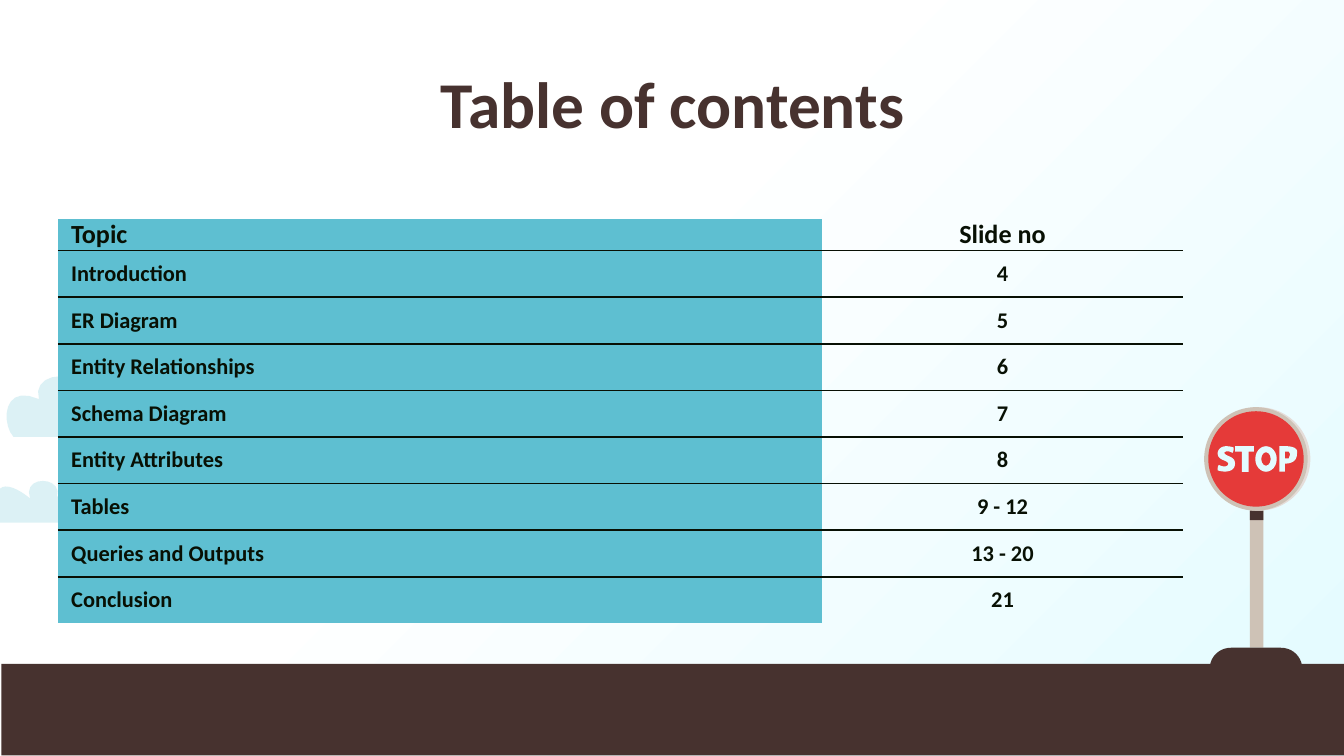
from copy import deepcopy

from lxml import etree
from pptx import Presentation
from pptx import util as u
from pptx.dml.color import RGBColor
from pptx.enum import shapes, text
from pptx.oxml.ns import qn

WHITE = RGBColor(0xFF, 0xFF, 0xFF)
SKY = RGBColor(0xE3, 0xFB, 0xFF)
TEAL = RGBColor(0x5E, 0xBF, 0xD1)
BROWN = RGBColor(0x47, 0x32, 0x2F)
POST = RGBColor(0xCE, 0xC2, 0xB6)
RIM = RGBColor(0xE5, 0xDD, 0xD9)
RED = RGBColor(0xE5, 0x3A, 0x39)
INK = RGBColor(0x08, 0x10, 0x04)
FONT = "Calibri"
PLAIN_TABLE = "{2D5ABB26-0587-4C30-8999-92F81FD0307C}"

CLOUD_WIDTH = 1.88
CLOUD_START = (1.87, 0.52)
CLOUD_CURVES = [
    (1.87, 0.47, 1.80, 0.42, 1.70, 0.41), (1.75, 0.35, 1.76, 0.28, 1.72, 0.24),
    (1.68, 0.19, 1.59, 0.19, 1.51, 0.22), (1.49, 0.20, 1.48, 0.19, 1.46, 0.18),
    (1.40, 0.17, 1.34, 0.19, 1.31, 0.25), (1.29, 0.24, 1.27, 0.24, 1.25, 0.24),
    (1.17, 0.23, 1.09, 0.25, 1.08, 0.30), (1.07, 0.30, 1.06, 0.30, 1.05, 0.29),
    (1.03, 0.26, 0.98, 0.24, 0.92, 0.24), (0.93, 0.23, 0.93, 0.20, 0.92, 0.19),
    (0.86, 0.05, 0.65, 0.19, 0.57, 0.26), (0.66, 0, 0.21, 0.02, 0.28, 0.24),
    (0.01, 0.12, 0, 0.42, 0.09, 0.52),
]
MOUND_START = (0, 0.16)
MOUND_CURVES = [(0, 0.07, 0.07, 0, 0.16, 0), (0.16, 0, 0.53, 0, 0.53, 0),
                (0.62, 0, 0.69, 0.07, 0.69, 0.16)]
S_START = (0.11, 0.05)
S_CURVES = [
    (0.08, 0.03, 0.05, 0.04, 0.05, 0.05), (0.06, 0.08, 0.13, 0.07, 0.13, 0.13),
    (0.13, 0.19, 0.06, 0.20, 0, 0.18), (0, 0.17, 0, 0.15, 0.01, 0.14),
    (0.05, 0.16, 0.08, 0.15, 0.08, 0.13), (0.07, 0.10, 0, 0.11, 0, 0.05),
    (0.01, 0, 0.06, -0.01, 0.12, 0.01), (0.12, 0.02, 0.12, 0.04, 0.11, 0.05),
]
T_POINTS = [(0, 0), (0.14, 0), (0.14, 0.04), (0.1, 0.04),
            (0.1, 0.19), (0.05, 0.19), (0.05, 0.04), (0, 0.04)]
P_START = (0, 0)
P_CURVES = [(0.16, -0.01, 0.13, 0.05, 0.13, 0.06), (0.13, 0.11, 0.09, 0.13, 0.04, 0.13),
            (0.04, 0.13, 0.04, 0.19, 0.04, 0.19), (0.04, 0.19, 0, 0.19, 0, 0.19)]
P_HOLE = [(0.04, 0.04), (0.04, 0.09), (0.07, 0.09), (0.08, 0.06), (0.07, 0.04)]

CONTENTS = [
    ("Topic", "Slide no"), ("Introduction", "4"), ("ER Diagram", "5"),
    ("Entity Relationships", "6"), ("Schema Diagram", "7"), ("Entity Attributes", "8"),
    ("Tables", "9 - 12"), ("Queries and Outputs", "13 - 20"), ("Conclusion", "21"),
]


def paint(shape, color):
    """Give a shape a flat fill with no line or shadow."""
    shape.shadow.inherit = False
    shape.fill.solid()
    shape.fill.fore_color.rgb = color
    shape.line.fill.background()
    return shape


def add_flat(slide, kind, left, top, width, height, color):
    """Add a flat preset shape, measured in inches."""
    box = map(u.Inches, (left, top, width, height))
    return paint(slide.shapes.add_shape(kind, *box), color)


def style(paragraph, size, color, align):
    """Format a paragraph and its runs."""
    paragraph.alignment = align
    for run in paragraph.runs:
        run.font.name, run.font.size, run.font.bold = FONT, u.Pt(size), True
        run.font.color.rgb = color


def trace(start, curves, steps=10):
    """Return points along a chain of cubic curves."""
    points = [start]
    for x1, y1, x2, y2, x3, y3 in curves:
        x0, y0 = points[-1]
        for t in (step / steps for step in range(1, steps + 1)):
            a, b, c, d = (1 - t) ** 3, 3 * t * (1 - t) ** 2, 3 * t * t * (1 - t), t ** 3
            points.append((a * x0 + b * x1 + c * x2 + d * x3,
                           a * y0 + b * y1 + c * y2 + d * y3))
    return points


def add_outline(slide, left, top, color, *contours):
    """Add a flat outline made of closed contours at a corner."""
    placed = [[(u.Inches(left + x), u.Inches(top + y)) for x, y in points]
              for points in contours]
    builder = slide.shapes.build_freeform(*placed[0][0])
    for points in placed:
        if points is not placed[0]:
            builder.move_to(*points[0])
        builder.add_line_segments(points[1:], close=True)
    return paint(builder.convert_to_shape(), color)


def add_cloud(slide, left, top, scale=1, mirrored=False):
    """Draw a pale cloud."""
    points = [((CLOUD_WIDTH - x if mirrored else x) * scale, y * scale)
              for x, y in trace(CLOUD_START, CLOUD_CURVES)]
    cloud = add_outline(slide, left, top, TEAL, points)
    tint = cloud._element.spPr.find(".//" + qn("a:srgbClr"))
    etree.SubElement(tint, qn("a:alpha"), val="21000")


def add_sign(slide, left, top):
    """Draw the road sign on its mound."""
    rect, oval = shapes.MSO_SHAPE.RECTANGLE, shapes.MSO_SHAPE.OVAL
    add_flat(slide, rect, left + 0.34, top + 0.57, 0.1, 1.22, POST)
    add_flat(slide, rect, left + 0.34, top + 0.77, 0.1, 0.07, BROWN)
    add_outline(slide, left + 0.04, top + 1.79, BROWN, trace(MOUND_START, MOUND_CURVES))
    add_flat(slide, oval, left + 0.02, top, 0.77, 0.77, RIM)
    add_flat(slide, oval, left, top, 0.77, 0.77, POST)
    add_flat(slide, oval, left + 0.03, top + 0.03, 0.71, 0.71, RED)
    add_outline(slide, left + 0.1, top + 0.29, SKY, trace(S_START, S_CURVES))
    add_outline(slide, left + 0.23, top + 0.29, SKY, T_POINTS)
    ring = add_flat(slide, shapes.MSO_SHAPE.DONUT, left + 0.38, top + 0.29, 0.16, 0.19, SKY)
    ring.adjustments[0] = 0.28
    add_outline(slide, left + 0.56, top + 0.29, SKY, trace(P_START, P_CURVES), P_HOLE)


def add_title(slide, left, top, width, height):
    """Write the slide title."""
    title = slide.shapes.add_textbox(*map(u.Inches, (left, top, width, height)))
    frame = title.text_frame
    frame.word_wrap = True
    frame.margin_top = frame.margin_bottom = u.Inches(0.1)
    frame.text = "Table of contents"
    style(frame.paragraphs[0], 35, BROWN, text.PP_ALIGN.CENTER)


def rule_cell(cell, sides):
    """Rule the given sides of a cell."""
    for index, side in enumerate(sides):
        line = etree.Element(qn("a:" + side), w=str(u.Pt(1)))
        fill = etree.SubElement(line, qn("a:solidFill"))
        etree.SubElement(fill, qn("a:srgbClr"), val=str(INK))
        cell._tc.get_or_add_tcPr().insert(index, line)


def add_contents(slide, left, top, widths, header_height, row_height):
    """Build the table of topics and slide numbers."""
    last = len(CONTENTS) - 1
    box = (left, top, sum(widths), header_height + last * row_height)
    table = slide.shapes.add_table(last + 1, 2, *map(u.Inches, box)).table
    table._tbl.tblPr.find(qn("a:tableStyleId")).text = PLAIN_TABLE
    table.horz_banding = False
    for column, width in zip(table.columns, widths):
        column.width = u.Inches(width)
    for r, entry in enumerate(CONTENTS):
        table.rows[r].height = u.Inches(row_height if r else header_height)
        for c, words in enumerate(entry):
            cell = table.cell(r, c)
            cell.text = words
            cell.margin_top = cell.margin_bottom = 0
            cell.vertical_anchor = text.MSO_ANCHOR.MIDDLE
            align = text.PP_ALIGN.CENTER if c else text.PP_ALIGN.LEFT
            style(cell.text_frame.paragraphs[0], 12 if r else 14, INK, align)
            if c:
                cell.fill.background()
            else:
                cell.fill.solid()
                cell.fill.fore_color.rgb = TEAL
            rule_cell(cell, ["lnT"] * (r > 0) + ["lnB"] * (r < last))


def add_sky(slide):
    """Fill the background with a diagonal gradient."""
    fill = slide.background.fill
    fill.gradient()
    fill.gradient_angle = 315
    for stop, position, color in zip(fill.gradient_stops, (0, 1), (WHITE, SKY)):
        stop.position, stop.color.rgb = position, color
    white_stop = slide._element.find(".//" + qn("a:gs"))
    middle_stop = deepcopy(white_stop)
    middle_stop.set("pos", "41000")
    white_stop.addnext(middle_stop)


deck = Presentation()
deck.slide_width = u.Inches(10)
deck.slide_height = u.Inches(10 * 9 / 16)
contents = deck.slides.add_slide(deck.slide_layouts[6])
add_sky(contents)
add_cloud(contents, -0.68, 3.53, scale=0.69, mirrored=True)
add_flat(contents, shapes.MSO_SHAPE.RECTANGLE, 0.01, 4.94, 9.99, 0.68, BROWN)
add_sign(contents, 8.96, 3.03)
add_title(contents, 0.79, 0.37, 8.43, 0.75)
add_cloud(contents, 0.01, 2.73)
add_contents(contents, 0.43, 1.63, (5.69, 2.68), 0.23, 25 / 72)
deck.save("out.pptx")
